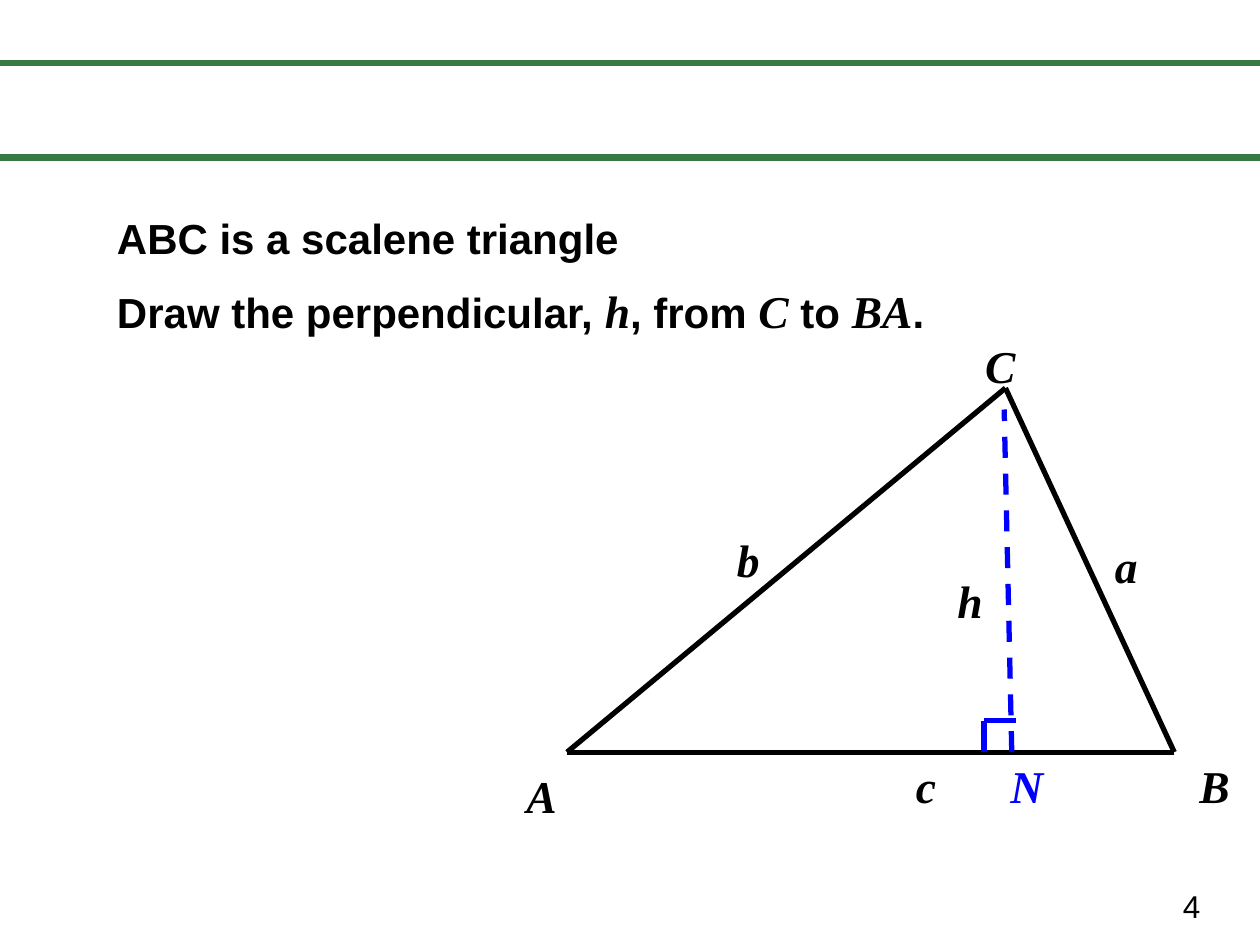
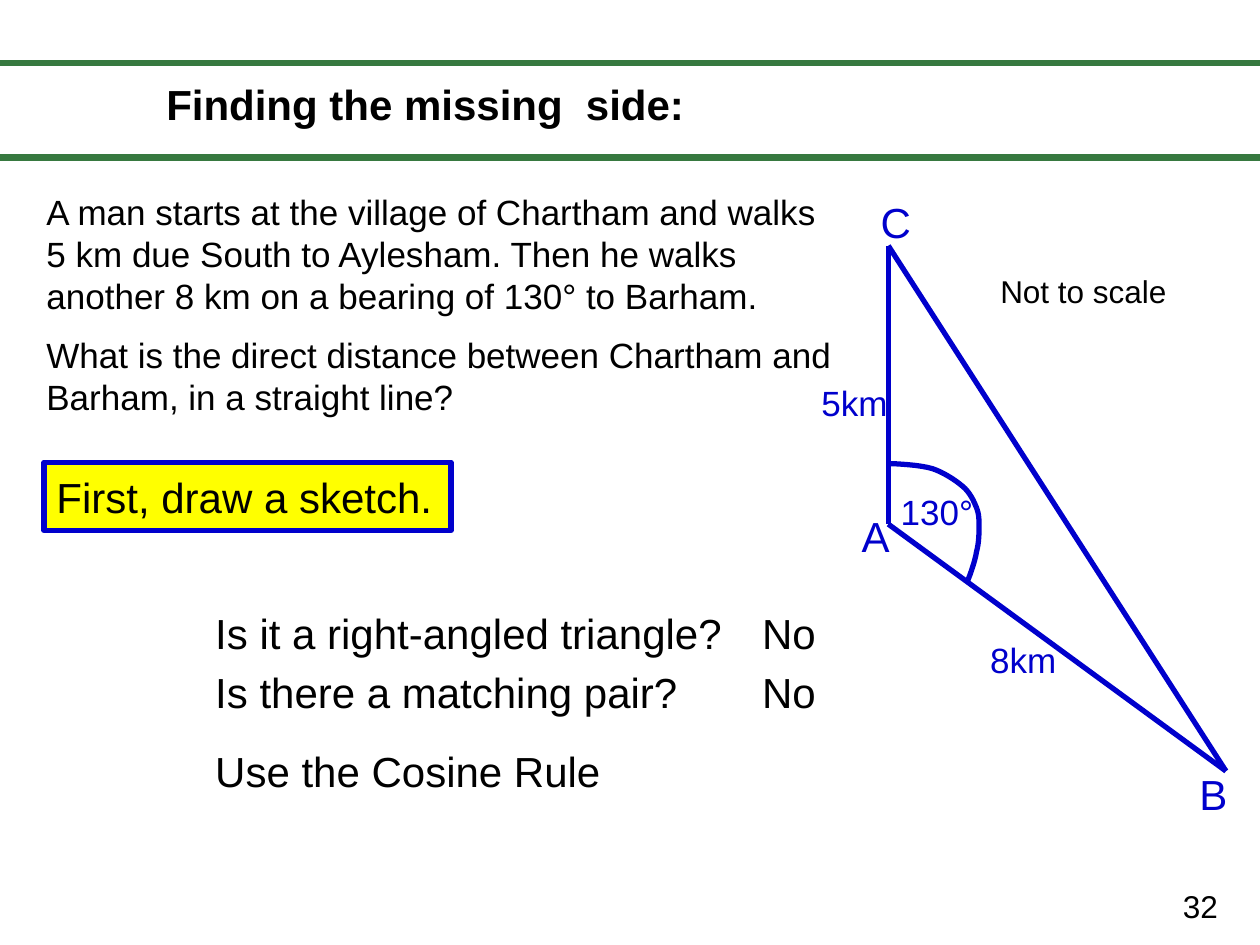
import itertools

import lxml.etree
import pptx
import pptx.dml.color
import pptx.enum.dml
import pptx.enum.shapes
import pptx.enum.text
import pptx.oxml.ns
import pptx.util

SCALE = 9144
WIDE, HIGH = 1000, 750
INK = {
    "black": "000000",
    "green": "377940",
    "blue": "0000FF",
    "navy": "0000CC",
    "yellow": "FFFF00",
}
SANS, SERIF = "Arial", "Times New Roman"
TITLE_ONLY, BLANK = 5, 6


def emu(px):
    return pptx.util.Emu(px * SCALE)


def color(name):
    return pptx.dml.color.RGBColor.from_string(INK[name])


def style(run, size, ink="black", face=SANS, bold=False, slant=False):
    font = run.font
    font.size = pptx.util.Pt(size)
    font.color.rgb = color(ink)
    font.name = face
    font.bold = bold
    font.italic = slant


def write(shape, text, size, ink="black", gap=10, **looks):
    frame = shape.text_frame
    frame.text = text
    frame.word_wrap = True
    frame.auto_size = pptx.enum.text.MSO_AUTO_SIZE.NONE
    for order, para in enumerate(frame.paragraphs):
        para.alignment = pptx.enum.text.PP_ALIGN.LEFT
        para.space_before = pptx.util.Pt(gap if order else 0)
        for run in para.runs:
            style(run, size, ink, **looks)


def add_text(slide, box, text, size, ink="black", **looks):
    shape = slide.shapes.add_textbox(*map(emu, box))
    write(shape, text, size, ink, **looks)
    return shape


def add_mixed(slide, box, parts):
    shape = add_text(slide, box, "", 24)
    para = shape.text_frame.paragraphs[0]
    for order, part in enumerate(parts):
        run = para.add_run()
        run.text = part
        if order % 2:
            style(run, 26, face=SERIF, bold=True, slant=True)
        else:
            style(run, 24, bold=True)


def add_title(slide, box, text):
    title = slide.shapes.title
    title.left, title.top, title.width, title.height = map(emu, box)
    write(title, text, 24, bold=True)
    title.text_frame.vertical_anchor = pptx.enum.text.MSO_ANCHOR.TOP


def add_line(slide, start, end, ink, width=3, dash=False):
    line = slide.shapes.add_connector(
        pptx.enum.shapes.MSO_CONNECTOR.STRAIGHT, *map(emu, start + end)
    )
    line.line.color.rgb = color(ink)
    line.line.width = pptx.util.Pt(width)
    if dash:
        line.line.dash_style = pptx.enum.dml.MSO_LINE.DASH
    lxml.etree.SubElement(line._element.spPr, pptx.oxml.ns.qn("a:effectLst"))


def add_sides(slide, points, ink):
    for start, end in itertools.pairwise(points + points[:1]):
        add_line(slide, start, end, ink)


def blend(knots, t):
    weights = ((1 - t) ** 3, 3 * t * (1 - t) ** 2, 3 * t * t * (1 - t), t**3)
    return tuple(
        round(sum(w * knot[axis] for w, knot in zip(weights, knots)) * SCALE)
        for axis in (0, 1)
    )


def add_curve(slide, knots, ink, steps=8):
    points = [
        blend(knots[first:first + 4], step / steps)
        for first in range(0, len(knots) - 1, 3)
        for step in range(1, steps + 1)
    ]
    start = map(emu, knots[0])
    pen = slide.shapes.build_freeform(*start, scale=1.0)
    pen.add_line_segments(points, close=False)
    curve = pen.convert_to_shape()
    curve.fill.background()
    curve.line.color.rgb = color(ink)
    curve.line.width = pptx.util.Pt(3)
    curve.shadow.inherit = False


def add_panel(slide, box, text):
    panel = slide.shapes.add_shape(
        pptx.enum.shapes.MSO_SHAPE.RECTANGLE, *map(emu, box)
    )
    panel.shadow.inherit = False
    panel.fill.solid()
    panel.fill.fore_color.rgb = color("yellow")
    panel.line.color.rgb = color("navy")
    panel.line.width = pptx.util.Pt(3)
    write(panel, text, 24)


def add_slide(deck, layout, number):
    slide = deck.slides.add_slide(deck.slide_layouts[layout])
    for top in (50, 125):
        add_line(slide, (0, top), (WIDE, top), "green", 4)
    add_text(slide, (929, 699, 71, 40), number, 18)
    return slide


def draw_height(deck):
    slide = add_slide(deck, BLANK, "4")
    add_text(slide, (83, 164, 433, 50), "ABC is a scalene triangle", 24, bold=True)
    add_mixed(
        slide,
        (83, 220, 825, 53),
        ["Draw the perpendicular, ", "h", ", from ", "C", " to ", "BA", "."],
    )
    add_sides(slide, [(450, 597), (798, 308), (932, 597)], "black")
    add_line(slide, (803, 597), (797, 325), "blue", dash=True)
    add_line(slide, (806, 572), (781, 572), "blue")
    add_line(slide, (781, 597), (781, 572), "blue")
    labels = [
        ("A", 408, 605), ("B", 942, 597), ("C", 772, 263), ("N", 792, 597),
        ("h", 750, 450), ("b", 575, 417), ("a", 875, 422), ("c", 717, 597),
    ]
    for name, left, top in labels:
        ink = "blue" if name == "N" else "black"
        add_text(
            slide, (left, top, 50, 53), name, 26, ink,
            face=SERIF, bold=True, slant=True,
        )


def draw_walk(deck):
    slide = add_slide(deck, TITLE_ONLY, "32")
    add_title(slide, (122, 57, 512, 50), "Finding the missing  side:")
    story = (
        "A man starts at the village of Chartham and walks 5 km due South to "
        "Aylesham. Then he walks another 8 km on a bearing of 130° to Barham.\n"
        "What is the direct distance between Chartham and Barham, "
        "in a straight line?"
    )
    add_text(slide, (27, 146, 647, 193), story, 20)
    add_panel(slide, (35, 367, 323, 54), "First, draw a sketch.")
    checks = ["Is it a right-angled triangle?", "Is there a matching pair?"]
    for row, check in enumerate(checks):
        top = 477 + 47 * row
        add_text(slide, (161, top, 441, 50), check, 24)
        add_text(slide, (595, top, 79, 50), "No", 24)
    add_text(slide, (161, 587, 394, 50), "Use the Cosine Rule", 24)
    add_text(slide, (784, 211, 181, 40), "Not to scale", 18)

    add_sides(slide, [(705, 195), (705, 416), (973, 612)], "navy")
    bend = [
        (705, 368), (711, 368), (730, 369), (740, 372), (749, 375),
        (758, 381), (764, 386), (770, 391), (773, 398), (775, 403),
        (777, 408), (777, 412), (777, 418), (777, 423), (777, 431),
        (775, 438), (774, 445), (770, 456), (768, 461),
    ]
    add_curve(slide, bend, "navy")
    for name, left, top in [("A", 674, 400), ("B", 942, 605), ("C", 689, 151)]:
        add_text(slide, (left, top, 47, 50), name, 24, "navy")
    for name, left, top in [("5km", 642, 298), ("8km", 776, 502), ("130°", 705, 384)]:
        add_text(slide, (left, top, 87, 43), name, 20, "navy")


def main():
    deck = pptx.Presentation()
    deck.slide_width, deck.slide_height = emu(WIDE), emu(HIGH)
    draw_height(deck)
    draw_walk(deck)
    deck.save("out.pptx")


if __name__ == "__main__":
    main()
